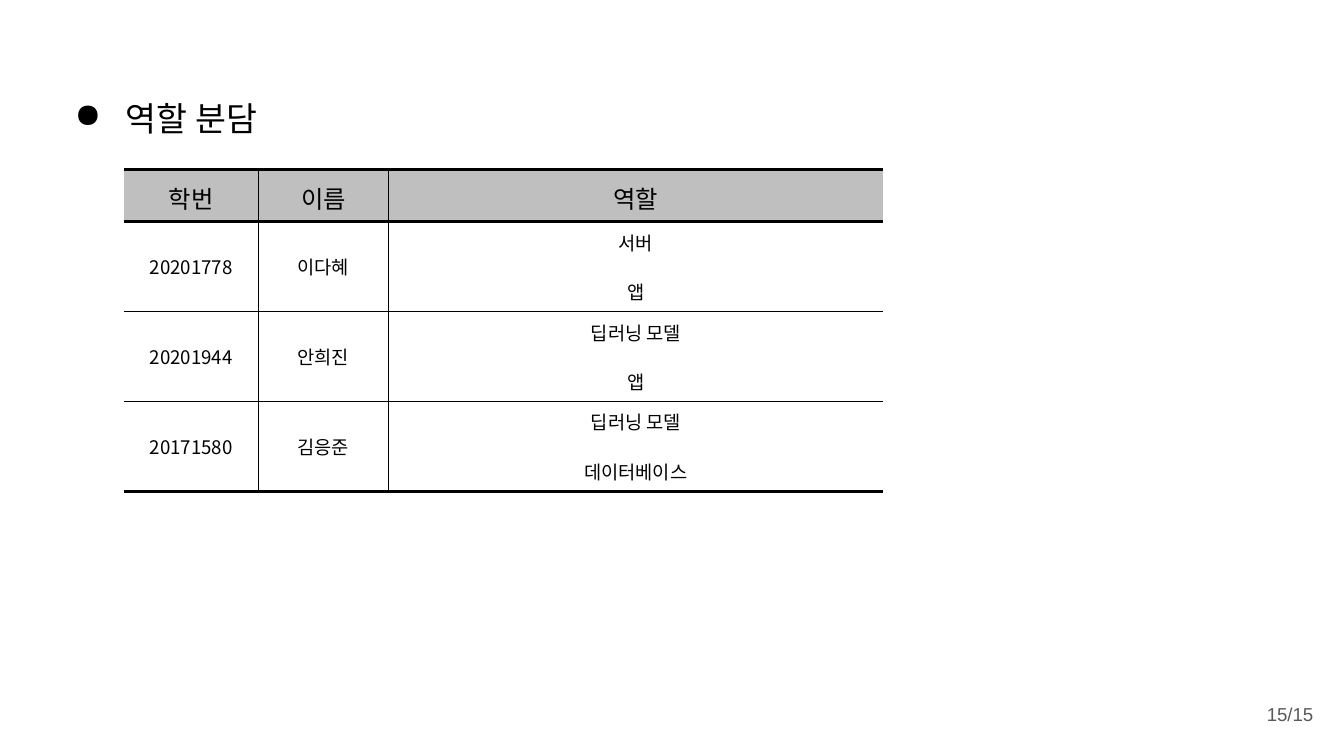
import pptx
import pptx.dml.color
import pptx.enum.text
import pptx.oxml
import pptx.oxml.ns
import pptx.util
from pptx.util import Cm

COLORS = {"black": "000000", "header": "BFBFBF", "number": "595959"}
LATIN, KOREAN = "Arial", "Noto Sans CJK KR"
THIN, THICK = 0.6, 1.5

TITLE = "역할 분담"
PAGE_NUMBER = "15/15"
HEADER = ("학번", "이름", "역할")
MEMBERS = [
    ("20201778", "이다혜", "서버\n앱"),
    ("20201944", "안희진", "딥러닝 모델\n앱"),
    ("20171580", "김응준", "딥러닝 모델\n데이터베이스"),
]
COLUMN_WIDTHS = (2.54, 2.46, 9.35)
HEADER_HEIGHT, MEMBER_HEIGHT = 0.99, 1.7

ALIGN = pptx.enum.text.PP_ALIGN
MIDDLE = pptx.enum.text.MSO_ANCHOR.MIDDLE


def rgb(name):
    return pptx.dml.color.RGBColor.from_string(COLORS[name])


def xml(markup):
    return pptx.oxml.parse_xml(
        markup.replace(" ", f" {pptx.oxml.ns.nsdecls('a')} ", 1))


def format_runs(para, size, font, color="black"):
    for span in para.runs:
        span.font.size = pptx.util.Pt(size)
        span.font.color.rgb = rgb(color)
        span.font.name = font
        span.font._element.append(xml(f'<a:ea typeface="{KOREAN}"/>'))


def add_line(page, text, left, top, width, height):
    """Add a one-paragraph text box and return its paragraph."""
    frame = page.shapes.add_textbox(Cm(left), Cm(top), Cm(width), Cm(height)).text_frame
    frame.word_wrap = True
    frame.vertical_anchor = MIDDLE
    frame.margin_left = frame.margin_right = Cm(0.25)
    frame.margin_top = frame.margin_bottom = Cm(0.25)
    frame.text = text
    return frame.paragraphs[0]


def set_borders(cell, **widths):
    """Draw each side at its width in points; zero hides it."""
    properties = cell._tc.get_or_add_tcPr()
    for place, side in enumerate("LRTB"):
        width = widths[side]
        paint = (f'<a:solidFill><a:srgbClr val="{COLORS["black"]}"/></a:solidFill>'
                 if width else "<a:noFill/>")
        properties.insert(place, xml(
            f'<a:ln{side} w="{pptx.util.Pt(width)}">{paint}</a:ln{side}>'))


def add_roles_table(page):
    rows = [HEADER, *MEMBERS]
    heights = [HEADER_HEIGHT] + [MEMBER_HEIGHT] * len(MEMBERS)
    table = page.shapes.add_table(
        len(rows), len(HEADER), Cm(2.34), Cm(3.2),
        Cm(sum(COLUMN_WIDTHS)), Cm(sum(heights))).table
    table.first_row = table.horz_banding = False
    for column, width in zip(table.columns, COLUMN_WIDTHS):
        column.width = Cm(width)
    rules = [THICK, THICK] + [THIN] * (len(MEMBERS) - 1) + [THICK]
    dividers = [0] + [THIN] * (len(HEADER) - 1) + [0]

    for r, texts in enumerate(rows):
        table.rows[r].height = Cm(heights[r])
        for c, text in enumerate(texts):
            cell = table.cell(r, c)
            cell.vertical_anchor = MIDDLE
            cell.margin_left = cell.margin_right = Cm(0.18)
            cell.margin_top = cell.margin_bottom = Cm(0.05)
            if r == 0:
                cell.fill.solid()
                cell.fill.fore_color.rgb = rgb("header")
            else:
                cell.fill.background()
            set_borders(cell, L=dividers[c], R=dividers[c + 1],
                        T=rules[r], B=rules[r + 1])
            cell.text_frame.text = text
            for index, para in enumerate(cell.text_frame.paragraphs):
                para.alignment = ALIGN.CENTER
                if index:
                    para.space_before = pptx.util.Pt(12)
                if r == 0:
                    para.line_spacing = 1.15
                    format_runs(para, 13, LATIN)
                else:
                    format_runs(para, 10, KOREAN)


def main():
    deck = pptx.Presentation()
    deck.slide_width, deck.slide_height = Cm(25.4), Cm(14.29)
    page = deck.slides.add_slide(deck.slide_layouts[6])

    title = add_line(page, TITLE, 0.86, 1.24, 23.67, 1.6)
    title.line_spacing = 1.5
    properties = title._p.get_or_add_pPr()
    properties.set("marL", str(Cm(1.27)))
    properties.set("indent", str(Cm(-0.97)))
    properties.append(xml(
        f'<a:buClr ><a:srgbClr val="{COLORS["black"]}"/></a:buClr>'))
    properties.append(xml('<a:buChar char="●"/>'))
    format_runs(title, 18, LATIN)

    add_roles_table(page)

    number = add_line(page, PAGE_NUMBER, 23.55, 12.95, 1.52, 1.09)
    number.alignment = ALIGN.RIGHT
    format_runs(number, 10, LATIN, "number")

    deck.save("out.pptx")


if __name__ == "__main__":
    main()
